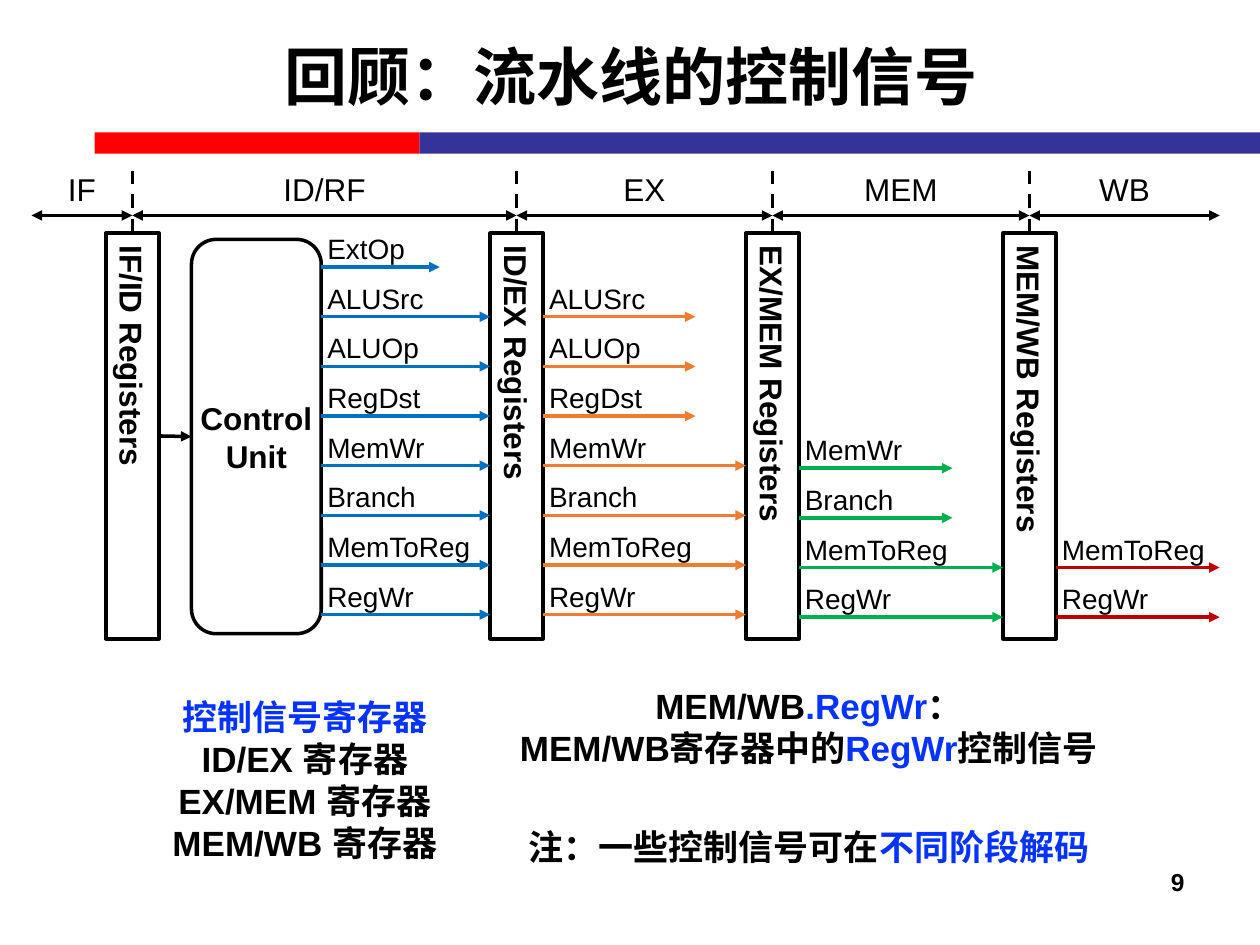
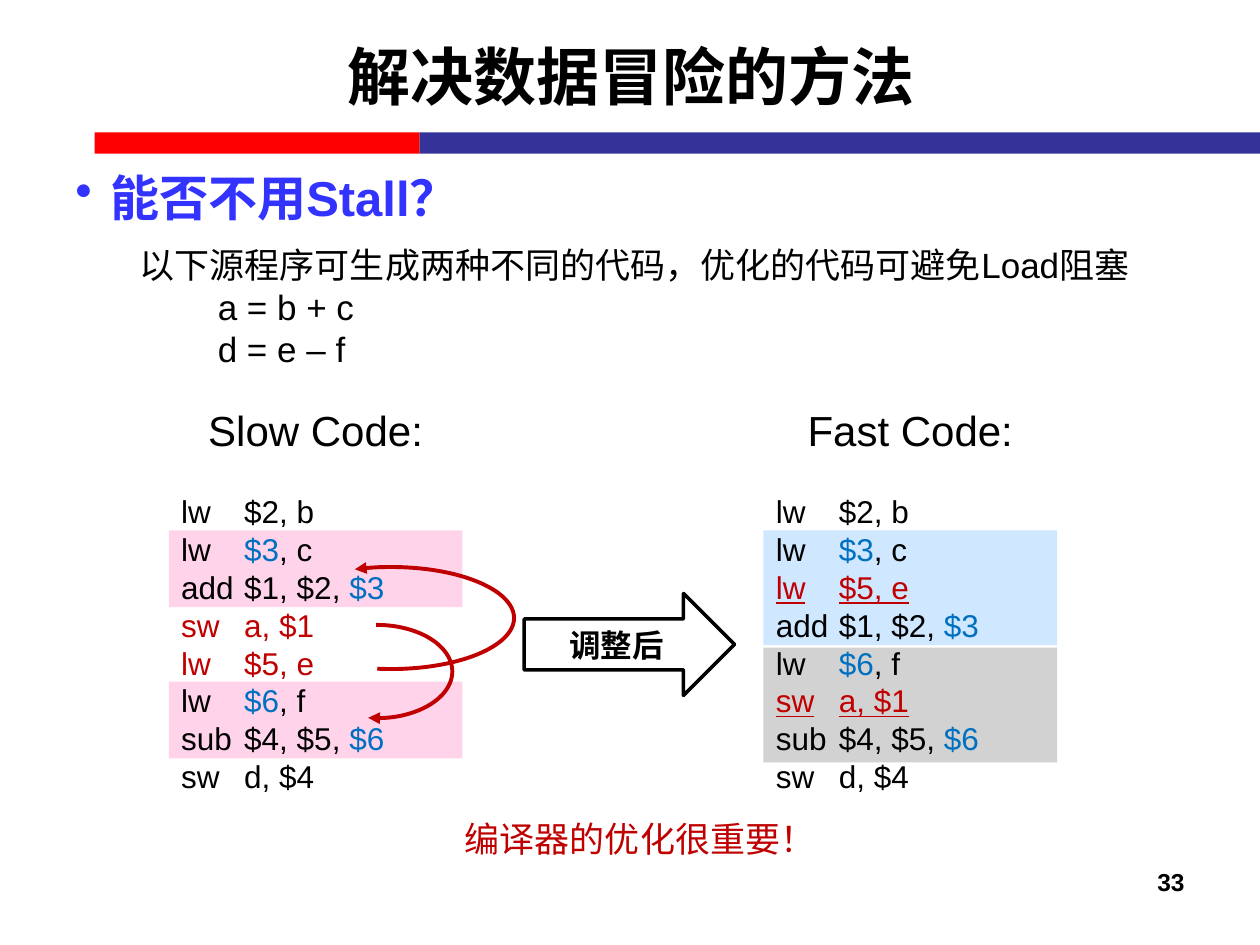
from lxml.etree import SubElement
from pptx import Presentation
from pptx.dml.color import RGBColor
from pptx.enum.dml import MSO_LINE
from pptx.enum.shapes import MSO_CONNECTOR, MSO_SHAPE
from pptx.enum.text import MSO_ANCHOR, PP_ALIGN
from pptx.oxml.ns import qn
from pptx.util import Inches, Pt

BLACK = RGBColor(0x00, 0x00, 0x00)
RED = RGBColor(0xFF, 0x00, 0x00)
NAVY = RGBColor(0x33, 0x33, 0x99)
BULLET_BLUE = RGBColor(0x33, 0x33, 0xFF)
TERM_BLUE = RGBColor(0x04, 0x32, 0xFF)
BLUE = RGBColor(0x00, 0x70, 0xC0)
ORANGE = RGBColor(0xED, 0x7D, 0x31)
GREEN = RGBColor(0x00, 0xB0, 0x50)
DARK_RED = RGBColor(0xC0, 0x00, 0x00)
PINK = RGBColor(0xFF, 0xD4, 0xEA)
GREY = RGBColor(0xD2, 0xD2, 0xD2)
PALE_BLUE = RGBColor(0xCF, 0xE7, 0xFF)

FONT = "Arial"
CENTER = PP_ALIGN.CENTER
MIDDLE = MSO_ANCHOR.MIDDLE
NO_MARGINS = dict(margin_left=0, margin_right=0, margin_top=0, margin_bottom=0)
TERM = dict(color=TERM_BLUE)

REGISTERS = ["IF/ID", "ID/EX", "EX/MEM", "MEM/WB"]
REGISTER_X = [0.84, 3.89, 5.92, 7.96]
REGISTER_TOP, REGISTER_W, REGISTER_H = 1.85, 0.42, 3.22
STAGES = ["IF", "ID/RF", "EX", "MEM", "WB"]
STAGE_EDGES = [0.25] + [x + REGISTER_W / 2 for x in REGISTER_X] + [9.68]
STAGE_Y = 1.71
SIGNALS = ["ExtOp", "ALUSrc", "ALUOp", "RegDst", "MemWr", "Branch", "MemToReg", "RegWr"]
SIGNAL_TOP, SIGNAL_STEP = 2.12, 0.394
SIGNAL_FLOWS = [
    (2.55, 3.89, 3.49, 0, 1, BLUE, 0),
    (4.31, 5.92, 5.52, 1, 4, ORANGE, 0),
    (6.34, 7.96, 7.56, 4, 6, GREEN, 0.02),
    (8.38, 9.68, 9.68, 6, 6, DARK_RED, 0.02),
]

CODE_TOP, CODE_W = 3.16, 2.33


def write(sp, paras, size, align=None, bold=False, color=BLACK, frame=None):
    tf = sp.text_frame
    tf.word_wrap = True
    for name, value in (frame or {}).items():
        setattr(tf, name, value)
    for i, runs in enumerate(paras):
        p = tf.paragraphs[0] if i == 0 else tf.add_paragraph()
        p.alignment = align
        for run in [runs] if isinstance(runs, str) else runs:
            text, fmt = (run, {}) if isinstance(run, str) else run
            r = p.add_run()
            r.text = text
            fmt = dict(name=FONT, size=Pt(size), bold=bold, color=color) | fmt
            r.font.color.rgb = fmt.pop("color")
            for name, value in fmt.items():
                setattr(r.font, name, value)
    return tf


def add_text(s, box, paras, size, **options):
    return write(s.shapes.add_textbox(*map(Inches, box)), paras, size, **options)


def add_shape(s, kind, box, fill=None, line=None, width=2):
    sp = s.shapes.add_shape(kind, *map(Inches, box))
    sp.shadow.inherit = False
    if fill is None:
        sp.fill.background()
    else:
        sp.fill.solid()
        sp.fill.fore_color.rgb = fill
    if line is None:
        sp.line.fill.background()
    else:
        sp.line.color.rgb = line
        sp.line.width = Pt(width)
    return sp


def add_arrowheads(sp, *ends):
    for end in ends:
        SubElement(sp.line._get_or_add_ln(), qn("a:" + end), type="triangle")


def add_line(s, start, end, color=BLACK, heads=("tailEnd",), dash=None):
    line = s.shapes.add_connector(MSO_CONNECTOR.STRAIGHT, *map(Inches, start + end))
    line.line.color.rgb = color
    line.line.width = Pt(2)
    if dash:
        line.line.dash_style = dash
    add_arrowheads(line, *heads)
    SubElement(line._element.spPr, qn("a:effectLst"))
    return line


def add_slide(prs, title, number):
    s = prs.slides.add_slide(prs.slide_layouts[6])
    add_shape(s, MSO_SHAPE.RECTANGLE, (0.75, 1.05, 2.58, 0.17), RED)
    add_shape(s, MSO_SHAPE.RECTANGLE, (3.33, 1.05, 6.67, 0.17), NAVY)
    add_text(s, (0.28, 0.15, 9.46, 0.9), [title], 36, align=CENTER, bold=True,
             frame=dict(vertical_anchor=MIDDLE))
    add_text(s, (7.17, 6.83, 2.33, 0.52), [number], 14, align=PP_ALIGN.RIGHT, bold=True)
    return s


def add_register(s, name, x):
    sp = add_shape(s, MSO_SHAPE.RECTANGLE, (x, REGISTER_TOP, REGISTER_W, REGISTER_H), line=BLACK)
    tf = write(sp, [name + " Registers"], 18, align=CENTER, bold=True,
               frame=dict(vertical_anchor=MIDDLE))
    tf._txBody.bodyPr.set("vert", "eaVert")
    mid = x + REGISTER_W / 2
    edge = add_line(s, (mid, REGISTER_TOP), (mid, 1.36), heads=(), dash=MSO_LINE.DASH)
    edge.begin_connect(sp, 0)
    return sp


def add_stage(s, name, left, right):
    add_line(s, (left, STAGE_Y), (right, STAGE_Y), heads=("headEnd", "tailEnd"))
    add_text(s, (left, 1.3, right - left, 0.4), [name], 18, align=CENTER)


def add_signals(s, left, full_end, short_end, first, first_full, color, drop):
    for row in range(first, len(SIGNALS)):
        y = SIGNAL_TOP + row * SIGNAL_STEP + drop
        end = short_end if row < first_full else full_end
        add_text(s, (left - 0.05, y - 0.33, 1.5, 0.37), [SIGNALS[row]], 16)
        add_line(s, (left, y), (end, y), color)


def code_line(text, register=None, **fmt):
    if register is None:
        return [(text, fmt)]
    before, found, after = text.partition(register)
    return [before, (found, dict(color=BLUE)), after] if after else [before, (found, dict(color=BLUE))]


def add_code(s, x, heading, lines, bands):
    for top, height, color in bands:
        add_shape(s, MSO_SHAPE.RECTANGLE, (x, top, CODE_W, height), color)
    heading_run = [(heading, dict(size=Pt(24)))]
    tf = add_text(s, (x, CODE_TOP, CODE_W, 3.23), [heading_run] + lines, 18)
    tf.paragraphs[0].alignment = CENTER
    tf.paragraphs[1].space_before = Pt(21.6)


def add_arc(s, box, start, end, flipped=False):
    sp = add_shape(s, MSO_SHAPE.ARC, box, line=DARK_RED, width=2.25)
    sp.adjustments[0], sp.adjustments[1] = start, end
    add_arrowheads(sp, "tailEnd")
    if flipped:
        sp._element.spPr.xfrm.set("flipV", "1")


def build_control_signals(prs):
    s = add_slide(prs, "回顾：流水线的控制信号", "9")
    registers = [add_register(s, name, x) for name, x in zip(REGISTERS, REGISTER_X)]
    for name, left, right in zip(STAGES, STAGE_EDGES, STAGE_EDGES[1:]):
        add_stage(s, name, left, right)

    control = add_shape(s, MSO_SHAPE.ROUNDED_RECTANGLE, (1.52, 1.9, 1.03, 3.13), line=BLACK)
    control.adjustments[0] = 0.19
    write(control, ["Control", "Unit"], 18, align=CENTER, bold=True,
          frame=dict(vertical_anchor=MIDDLE, margin_left=0, margin_right=0))
    link = add_line(s, (1.26, 3.46), (1.52, 3.46))
    link.begin_connect(registers[0], 3)
    link.end_connect(control, 1)
    for flow in SIGNAL_FLOWS:
        add_signals(s, *flow)

    note = dict(size=20, align=CENTER, bold=True)
    add_text(s, (1.06, 5.41, 2.72, 1.56),
             [[("控制信号寄存器", TERM)]] + [name + " 寄存器" for name in REGISTERS[1:]],
             frame=NO_MARGINS | dict(vertical_anchor=MIDDLE), **note)
    add_text(s, (3.93, 5.43, 4.98, 0.7),
             [["MEM/WB", (".RegWr", TERM), "："],
              ["MEM/WB寄存器中的", ("RegWr", TERM), "控制信号"]],
             frame=NO_MARGINS, **note)
    add_text(s, (3.93, 6.5, 4.98, 0.44),
             [["注：一些控制信号可在", ("不同阶段解码", TERM)]], **note)


def build_data_hazards(prs):
    s = add_slide(prs, "解决数据冒险的方法", "33")
    tf = add_text(s, (0.5, 1.28, 9, 0.6), ["能否不用Stall？"], 28, bold=True, color=BULLET_BLUE)
    pPr = tf.paragraphs[0]._p.get_or_add_pPr()
    pPr.set("marL", str(Inches(0.28)))
    pPr.set("indent", str(-Inches(0.28)))
    SubElement(pPr, qn("a:buChar"), char="•")

    tf = add_text(s, (1.01, 1.88, 8.38, 1.11),
                  ["以下源程序可生成两种不同的代码，优化的代码可避免Load阻塞", "a = b + c", "d = e – f"], 20)
    for p in tf.paragraphs[1:]:
        p._p.get_or_add_pPr().set("marL", str(Inches(0.62)))

    load_b = code_line("lw\t$2, b")
    load_c = code_line("lw\t$3, c", "$3")
    add_bc = code_line("add\t$1, $2, $3", "$3")
    load_f = code_line("lw\t$6, f", "$6")
    sub_ef = code_line("sub\t$4, $5, $6", "$6")
    store_d = code_line("sw\td, $4")
    store_a, load_e = "sw\ta, $1", "lw\t$5, e"
    moved = dict(color=DARK_RED, underline=True)

    add_code(s, 1.34, "Slow Code:",
             [load_b, load_c, add_bc, code_line(store_a, color=DARK_RED),
              code_line(load_e, color=DARK_RED), load_f, sub_ef, store_d],
             [(5.41, 0.61, PINK), (4.21, 0.61, PINK)])
    add_arc(s, (2.39, 4.96, 1.2, 0.74), 161.64, 60.27)
    add_arc(s, (2.13, 4.5, 1.95, 0.81), 152.77, 76.05, flipped=True)
    add_code(s, 6.06, "Fast Code:",
             [load_b, load_c, code_line(load_e, **moved), add_bc, load_f,
              code_line(store_a, **moved), sub_ef, store_d],
             [(5.14, 0.91, GREY), (4.21, 0.91, PALE_BLUE)])

    arrow = add_shape(s, MSO_SHAPE.RIGHT_ARROW, (4.16, 4.71, 1.67, 0.81), line=BLACK)
    write(arrow, ["调整后"], 18, align=CENTER, bold=True, frame=dict(vertical_anchor=MIDDLE))
    add_text(s, (3.59, 6.44, 3.55, 0.44), ["编译器的优化很重要！"], 20, color=DARK_RED)


def main():
    prs = Presentation()
    prs.slide_width, prs.slide_height = Inches(10), Inches(7.5)
    build_control_signals(prs)
    build_data_hazards(prs)
    prs.save("out.pptx")


if __name__ == "__main__":
    main()
